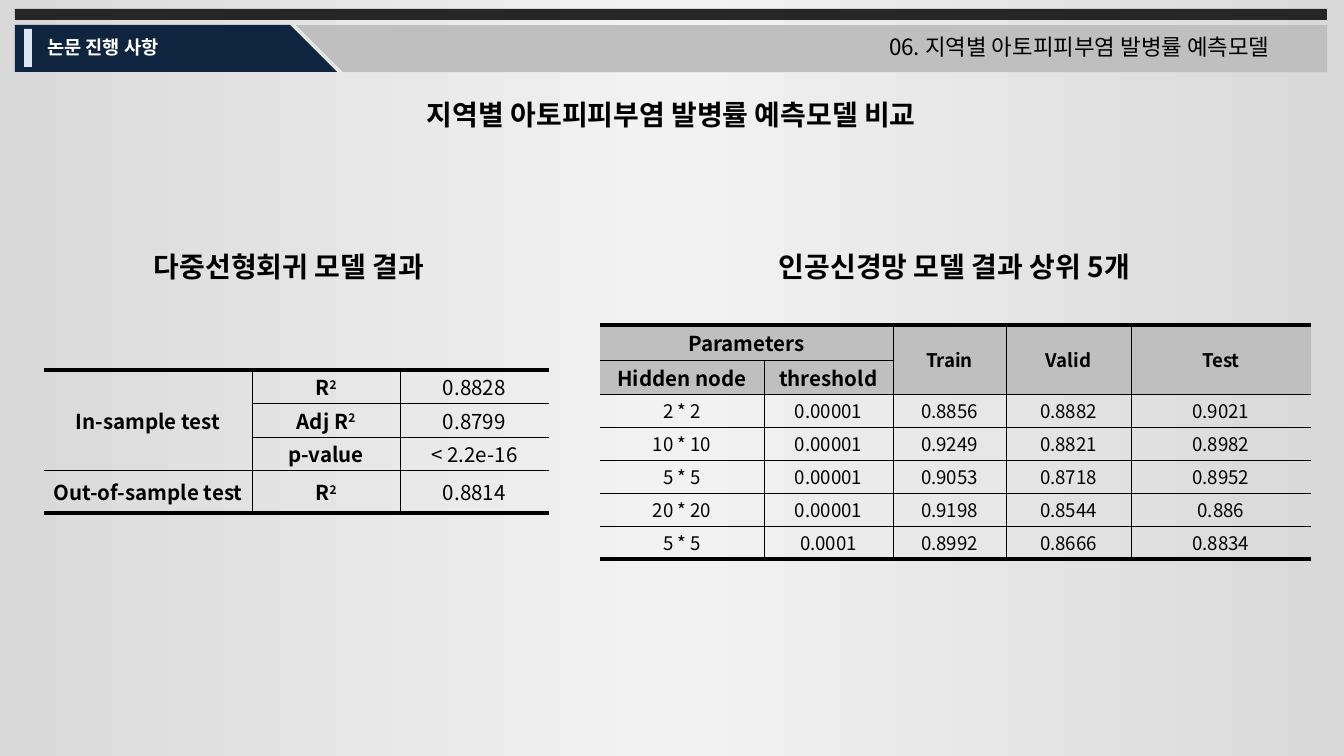
from copy import deepcopy
from dataclasses import dataclass

from lxml.etree import SubElement
from pptx import Presentation
from pptx.dml.color import RGBColor
from pptx.enum.shapes import MSO_SHAPE
from pptx.enum.text import MSO_ANCHOR, MSO_AUTO_SIZE, PP_ALIGN
from pptx.oxml.ns import qn
from pptx.util import Emu, Pt

EMU_PER_PX = 914400 / 134.4


@dataclass(frozen=True)
class Theme:
    font: str = "Noto Sans CJK KR"
    black: str = "000000"
    white: str = "FFFFFF"
    bar: str = "262626"
    navy: str = "0F243E"
    gray: str = "BFBFBF"
    accent: str = "DCE6F2"
    background: tuple[str, ...] = ("D9D9D9", "F2F2F2", "D9D9D9")
    heading: int = 15
    header: int = 12
    cell: int = 11
    small: int = 10
    thick: float = 2.25
    thin: float = 0.28


@dataclass(frozen=True)
class Box:
    left: int
    top: int
    width: int
    height: int

    def emu(self) -> tuple[Emu, ...]:
        return tuple(px(n) for n in (self.left, self.top, self.width, self.height))


@dataclass(frozen=True)
class Block:
    box: Box
    color: str
    kind: MSO_SHAPE = MSO_SHAPE.RECTANGLE
    rotation: int = 0


@dataclass(frozen=True)
class Label:
    box: Box
    text: str
    size: int
    color: str = "000000"
    bold: bool = True
    align: PP_ALIGN = PP_ALIGN.CENTER
    wrap: bool = True


@dataclass(frozen=True)
class Grid:
    left: int
    top: int
    columns: list[int]
    rows: list[int]
    values: list[list[str]]
    merges: list[tuple[int, int, int, int]]
    header_rows: int = 0
    bold_columns: int = 0
    small_columns: int = 0
    body_size: int = 11


THEME = Theme()

BLOCKS = [
    Block(Box(15, 9, 1312, 11), THEME.bar),
    Block(Box(15, 25, 275, 47), THEME.navy),
    Block(Box(290, 25, 47, 47), THEME.navy, MSO_SHAPE.RIGHT_TRIANGLE),
]
HEADER_BAND = [
    Block(Box(343, 25, 984, 47), THEME.gray, rotation=180),
    Block(Box(296, 25, 47, 47), THEME.gray, MSO_SHAPE.RIGHT_TRIANGLE, 180),
]
ACCENT = Block(Box(24, 29, 8, 38), THEME.accent)

TITLE = Label(Box(241, 91, 861, 47), "지역별 아토피피부염 발병률 예측모델 비교", THEME.heading)
LABELS = [
    Label(Box(34, 29, 152, 37), "논문 진행 사항", THEME.small, THEME.white, align=PP_ALIGN.LEFT),
    Label(Box(125, 243, 328, 47), "다중선형회귀 모델 결과", THEME.heading),
    Label(Box(743, 243, 423, 47), "인공신경망 모델 결과 상위 5개", THEME.heading),
    Label(Box(876, 27, 452, 40), "06. 지역별 아토피피부염 발병률 예측모델", THEME.header,
          bold=False, align=PP_ALIGN.LEFT, wrap=False),
]

NETWORK = Grid(
    600, 325, [164, 129, 113, 125, 180], [35, 34] + [33] * 5,
    [
        ["Parameters", "", "Train", "Valid", "Test"],
        ["Hidden node", "threshold", "", "", ""],
        ["2 * 2", "0.00001", "0.8856", "0.8882", "0.9021"],
        ["10 * 10", "0.00001", "0.9249", "0.8821", "0.8982"],
        ["5 * 5", "0.00001", "0.9053", "0.8718", "0.8952"],
        ["20 * 20", "0.00001", "0.9198", "0.8544", "0.886"],
        ["5 * 5", "0.0001", "0.8992", "0.8666", "0.8834"],
    ],
    [(0, 0, 0, 1)] + [(0, column, 1, column) for column in (2, 3, 4)],
    header_rows=2, small_columns=3, body_size=THEME.small,
)
REGRESSION = Grid(
    44, 370, [208, 148, 149], [33, 34, 33, 43],
    [
        ["In-sample test", "R^2", "0.8828"],
        ["", "Adj R^2", "0.8799"],
        ["", "p-value", "< 2.2e-16"],
        ["Out-of-sample test", "R^2", "0.8814"],
    ],
    [(0, 0, 2, 0)], bold_columns=2,
)


def px(length: int) -> Emu:
    return Emu(round(length * EMU_PER_PX))


def write_text(frame, text: str, *, size: int, color: str = THEME.black,
               bold: bool = False, align: PP_ALIGN = PP_ALIGN.CENTER) -> None:
    paragraph = frame.paragraphs[0]
    paragraph.alignment = align
    for index, part in enumerate(text.split("^")):
        run = paragraph.add_run()
        run.text = part
        run.font.size = Pt(size)
        run.font.bold = bold
        run.font.color.rgb = RGBColor.from_string(color)
        run.font.name = THEME.font
        properties = run.font._element
        SubElement(properties, qn("a:ea"), typeface=THEME.font)
        if index:
            properties.set("baseline", "30000")


def draw_block(shapes, block: Block) -> None:
    shape = shapes.add_shape(block.kind, *block.box.emu())
    shape.rotation = block.rotation
    shape.shadow.inherit = False
    shape.fill.solid()
    shape.fill.fore_color.rgb = RGBColor.from_string(block.color)
    shape.line.fill.background()


def fill_label(shape, label: Label) -> None:
    shape.left, shape.top, shape.width, shape.height = label.box.emu()
    frame = shape.text_frame
    frame.word_wrap = label.wrap
    frame.auto_size = MSO_AUTO_SIZE.SHAPE_TO_FIT_TEXT
    frame.vertical_anchor = MSO_ANCHOR.TOP
    write_text(frame, label.text, size=label.size, color=label.color,
               bold=label.bold, align=label.align)


def set_border(cell, side: str, width: float) -> None:
    line = SubElement(cell._tc.get_or_add_tcPr(), qn(f"a:ln{side}"), w=str(Pt(width)))
    if width:
        fill = SubElement(line, qn("a:solidFill"))
        SubElement(fill, qn("a:srgbClr"), val=THEME.black)
    else:
        SubElement(line, qn("a:noFill"))


def draw_grid(shapes, grid: Grid) -> None:
    box = Box(grid.left, grid.top, sum(grid.columns), sum(grid.rows))
    last_row, last_column = len(grid.rows) - 1, len(grid.columns) - 1
    table = shapes.add_table(last_row + 1, last_column + 1, *box.emu()).table
    table.first_row = table.horz_banding = False
    for column, width in zip(table.columns, grid.columns):
        column.width = px(width)
    for row, height in zip(table.rows, grid.rows):
        row.height = px(height)
    for top, left, bottom, right in grid.merges:
        table.cell(top, left).merge(table.cell(bottom, right))
    for r, values in enumerate(grid.values):
        for c, text in enumerate(values):
            cell = table.cell(r, c)
            header = r < grid.header_rows
            cell.vertical_anchor = MSO_ANCHOR.MIDDLE
            cell.margin_left = cell.margin_right = px(1)
            cell.margin_top = cell.margin_bottom = 0
            set_border(cell, "L", THEME.thin if c else 0)
            set_border(cell, "R", THEME.thin if c < last_column else 0)
            set_border(cell, "T", THEME.thin if r else THEME.thick)
            set_border(cell, "B", THEME.thin if r < last_row else THEME.thick)
            if header:
                cell.fill.solid()
                cell.fill.fore_color.rgb = RGBColor.from_string(THEME.gray)
            else:
                cell.fill.background()
            if text:
                small = c >= last_column + 1 - grid.small_columns
                size = THEME.cell if header and not small else grid.body_size
                write_text(cell.text_frame, text, size=size,
                           bold=header or c < grid.bold_columns)


def paint_background(slide) -> None:
    fill = slide.background.fill
    fill.gradient()
    fill.gradient_angle = 0
    stop_list = slide.element.find(".//" + qn("a:gsLst"))
    stop_list.insert(1, deepcopy(stop_list[0]))
    for index, (stop, color) in enumerate(zip(fill.gradient_stops, THEME.background)):
        stop.position = index / 2
        stop.color.rgb = RGBColor.from_string(color)


def main() -> None:
    presentation = Presentation()
    presentation.slide_width, presentation.slide_height = px(1344), px(756)
    slide = presentation.slides.add_slide(presentation.slide_layouts[5])
    paint_background(slide)
    for block in BLOCKS:
        draw_block(slide.shapes, block)
    band = slide.shapes.add_group_shape()
    for block in HEADER_BAND:
        draw_block(band.shapes, block)
    draw_block(slide.shapes, ACCENT)
    fill_label(slide.shapes.title, TITLE)
    for label in LABELS:
        fill_label(slide.shapes.add_textbox(*label.box.emu()), label)
    for grid in (NETWORK, REGRESSION):
        draw_grid(slide.shapes, grid)
    presentation.save("out.pptx")


if __name__ == "__main__":
    main()
